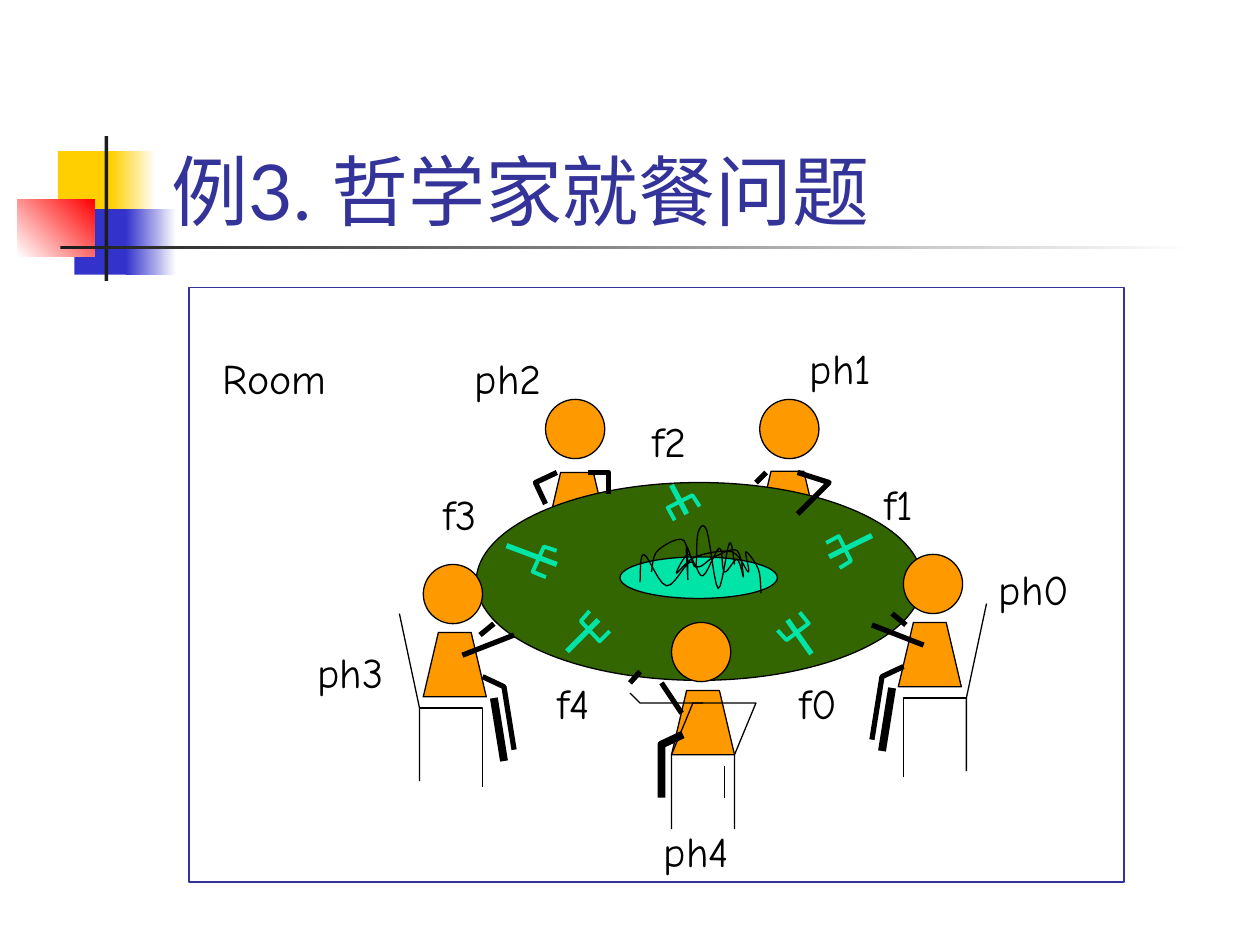
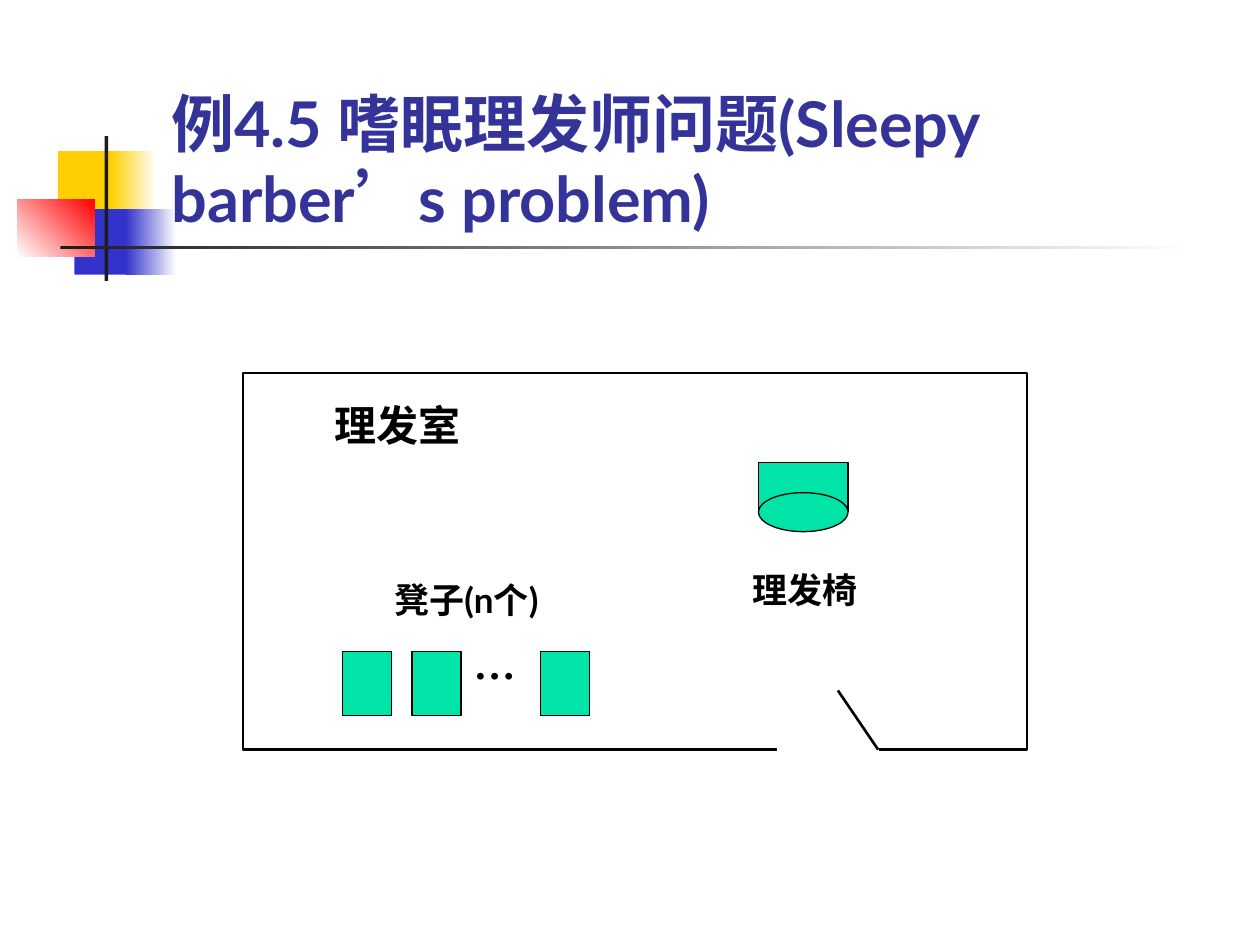
from lxml import etree
from pptx import Presentation
from pptx.dml.color import RGBColor
from pptx.enum.shapes import MSO_CONNECTOR, MSO_SHAPE
from pptx.enum.text import MSO_ANCHOR, MSO_AUTO_SIZE, PP_ALIGN
from pptx.oxml.ns import qn
from pptx.util import Inches, Pt

RECT, OVAL = MSO_SHAPE.RECTANGLE, MSO_SHAPE.OVAL
STRAIGHT = MSO_CONNECTOR.STRAIGHT
BLACK, WHITE, NAVY = "000000", "FFFFFF", "333399"
GOLD, BLUE, RED, DARK = "FFCF01", "3333CC", "FF0000", "1C1C1C"
ORANGE, GREEN, MINT = "FF9900", "336600", "00E4A8"
THIN, EDGE, TINE, LIMB, LEG = 0.75, 1.5, 2.25, 3, 4.5

# Shared band: place, fill (a colour, or start, end and angle of a gradient)
BAND = [
    ((0.46, 1.2, 0.48, 0.52), GOLD),
    ((0.88, 1.2, 0.36, 0.52), (GOLD, WHITE, 0)),
    ((0.59, 1.66, 0.46, 0.52), BLUE),
    ((1, 1.66, 0.4, 0.52), (BLUE, WHITE, 0)),
    ((0.14, 1.58, 0.61, 0.46), (WHITE, RED, 45)),
    ((0.83, 1.08, 0.03, 1.15), DARK),
    ((0.48, 1.95, 9, 0.03), (DARK, WHITE, 0)),
]
TITLE_AT = (1.26, 0.67, 8.52, 1.25)

# Slide 1: dining philosophers
DINERS = "例3. 哲学家就餐问题"
ROOM = (1.5, 2.28, 7.42, 4.72)
TABLE = (3.78, 3.83, 3.54, 1.57)
DISH = (4.92, 4.42, 1.25, 0.33)
HEAD = 0.47
BODY = [(0, 0.51), (0.12, 0), (0.38, 0), (0.5, 0.51)]
# Corner of the head, corner of the body
BACK = [((6.03, 3.17), (6, 3.74)), ((4.33, 3.17), (4.33, 3.75))]
FRONT = [((5.33, 4.94), (5.33, 5.48)), ((3.36, 4.48), (3.36, 5.02)),
         ((7.17, 4.4), (7.13, 4.94))]
# Chair and limbs of ph3; ph0 is the same, mirrored and a little higher
SIDE = [
    (THIN, [(3.17, 4.87), (3.33, 5.62), (3.33, 6.2)]),
    (THIN, [(3.33, 5.62), (3.83, 5.62), (3.83, 6.25)]),
    (LEG, [(3.92, 5.54), (4, 6.04)]),
    (LIMB, [(3.83, 5.37), (4, 5.45), (4.08, 5.95)]),
    (LIMB, [(3.67, 5.2), (4.08, 5.04)]),
    (LIMB, [(3.81, 5.04), (3.92, 4.95)]),
]
MIRROR, RISE = 11, 0.08
STROKES = [
    # ph4
    (THIN, [(5, 5.5), (5.08, 5.58), (5.58, 5.58)]),
    (LIMB, [(5.08, 5.33), (5, 5.42)]),
    (THIN, [(5.33, 6.58), (5.33, 5.99), (5.5, 5.58),
            (6, 5.58), (5.83, 5.99), (5.83, 6.58)]),
    (THIN, [(5.75, 6.08), (5.75, 6.33)]),
    (LIMB, [(5.25, 5.42), (5.41, 5.66)]),
    (LEG, [(5.42, 5.83), (5.25, 5.91), (5.25, 6.33)]),
    # ph1
    (LIMB, [(6.33, 3.75), (6.58, 3.83), (6.33, 4.08)]),
    (LIMB, [(6.08, 3.75), (6, 3.83)]),
    # ph2
    (LIMB, [(4.42, 3.75), (4.25, 3.83), (4.33, 4)]),
    (LIMB, [(4.67, 3.75), (4.83, 3.75), (4.83, 3.92)]),
]
# Points that the smooth noodles run through
NOODLES = [
    [(5.17, 4.54), (5.22, 4.37), (5.43, 4.29), (5.46, 4.6), (5.45, 4.34),
     (5.52, 4.5), (5.54, 4.23), (5.61, 4.21), (5.7, 4.67), (5.79, 4.31),
     (5.83, 4.48)],
    [(5.08, 4.62), (5.11, 4.4), (5.29, 4.65), (5.48, 4.46), (5.58, 4.57),
     (5.71, 4.35), (5.75, 4.54), (5.85, 4.44), (5.9, 4.58), (5.85, 4.37),
     (5.67, 4.42), (5.54, 4.5), (5.46, 4.4), (5.37, 4.55), (5.52, 4.42),
     (5.81, 4.38), (5.94, 4.54), (5.92, 4.38), (6.02, 4.52), (6.04, 4.71)],
]
# Forks: handle, centre of the tines, turn of the tines
TINES = [(-0.05, -0.12), (-0.12, -0.04), (0.03, 0.12), (0.11, 0.04)]
FORKS = [
    ([(4.75, 4.92), (4.5, 5.17)], (4.73, 4.97), 0),
    ([(6.25, 4.92), (6.44, 5.19)], (6.3, 4.97), 276),
    ([(6.92, 4.25), (6.58, 4.42)], (6.66, 4.38), 196.8),
    ([(5.33, 3.85), (5.45, 4.08)], (5.43, 4.03), 106.1),
    ([(4.02, 4.33), (4.42, 4.48)], (4.33, 4.46), 67),
]
NAMES = [
    ("Room", 1.67, 2.75),
    ("ph0", 7.83, 4.42), ("ph1", 6.33, 2.67), ("ph2", 3.67, 2.75),
    ("ph3", 2.42, 5.08), ("ph4", 5.17, 6.5),
    ("f0", 6.25, 5.33), ("f1", 6.92, 3.75), ("f2", 5.08, 3.25),
    ("f3", 3.42, 3.83), ("f4", 4.33, 5.33),
]
LETTER = 0.3

# Slide 2: sleepy barber
BARBER = "例4.5 嗜眠理发师问题(Sleepy barber’s problem)"
SHOP = (1.93, 2.96, 6.22, 2.99)
STOOLS, STOOL_TOP, STOOL = (2.72, 3.27, 4.29), 5.17, (0.39, 0.51)
CHAIR = [(RECT, (6.02, 3.67, 0.71, 0.39)), (OVAL, (6.02, 3.91, 0.71, 0.31))]
GAP = (6.18, 5.64, 0.79, 0.63)
DOOR = [(6.97, 5.95), (6.65, 5.48)]
SIGNS = [
    ("…", (3.66, 5.01, 0.55, 0.5), 24, "Times New Roman"),
    ("凳子(n个)", (3.03, 4.54, 1.65, 0.44), 20, "Lato"),
    ("理发椅", (5.87, 4.46, 1.18, 0.44), 20, "Lato"),
    ("理发室", (2.56, 3.12, 1.42, 0.5), 24, "Lato"),
]


def rgb(code):
    return RGBColor.from_string(code)


def inch(nums):
    return [Inches(n) for n in nums]


def paint(shape, fill, line, width):
    """Fill with None, a colour or a gradient; outline if line is given."""
    shape.shadow.inherit = False
    if fill is None:
        shape.fill.background()
    elif isinstance(fill, tuple):
        first, last, angle = fill
        shape.fill.gradient()
        shape.fill.gradient_angle = angle
        for stop, code in zip(shape.fill.gradient_stops, (first, last)):
            stop.color.rgb = rgb(code)
    else:
        shape.fill.solid()
        shape.fill.fore_color.rgb = rgb(fill)
    if line:
        shape.line.color.rgb = rgb(line)
        shape.line.width = Pt(width)
    else:
        shape.line.fill.background()


def block(slide, kind, at, fill, line=BLACK, width=THIN):
    paint(slide.shapes.add_shape(kind, *inch(at)), fill, line, width)


def trace(slide, pts, width, line=BLACK, fill=None):
    """Join points: two make a line, more an outline, closed when filled."""
    if len(pts) == 2:
        part = slide.shapes.add_connector(STRAIGHT, *inch(pts[0] + pts[1]))
        part.line.color.rgb = rgb(line)
        part.line.width = Pt(width)
        etree.SubElement(part.element.spPr, qn("a:effectLst"))
        return part
    pen = slide.shapes.build_freeform(*inch(pts[0]))
    pen.add_line_segments([inch(p) for p in pts[1:]], close=fill is not None)
    part = pen.convert_to_shape()
    paint(part, fill, line, width)
    return part


def shift(pts, x, y):
    return [(x + dx, y + dy) for dx, dy in pts]


def bend(pts, steps=6):
    """Run a smooth curve (Catmull-Rom) through the points in short steps."""
    out = [pts[0]]
    ends = [pts[0], *pts, pts[-1]]
    for quad in zip(ends, ends[1:], ends[2:], ends[3:]):
        for k in range(1, steps + 1):
            t = k / steps
            out.append(tuple(
                b + t / 2 * (c - a + t * (2 * a - 5 * b + 4 * c - d
                                          + t * (3 * (b - c) + d - a)))
                for a, b, c, d in zip(*quad)))
    return out


def style(frame, size, face, color, bold):
    frame.word_wrap = True
    font = frame.paragraphs[0].runs[0].font
    font.size, font.name, font.bold = Pt(size), face, bold
    font.color.rgb = rgb(color)


def label(slide, text, at, size, face, bold=False):
    frame = slide.shapes.add_textbox(*inch(at)).text_frame
    frame.text = text
    style(frame, size, face, BLACK, bold)


def start(deck, text, size, bold):
    """Add a slide with the shared band and the title above it."""
    slide = deck.slides.add_slide(deck.slide_layouts[5])
    for at, fill in BAND:
        block(slide, RECT, at, fill, None)
    title = slide.shapes.title
    title.left, title.top, title.width, title.height = inch(TITLE_AT)
    slide.shapes.element.append(title.element)
    frame = title.text_frame
    frame.text = text
    frame.auto_size = MSO_AUTO_SIZE.NONE
    frame.vertical_anchor = MSO_ANCHOR.BOTTOM
    frame.paragraphs[0].alignment = PP_ALIGN.LEFT
    style(frame, size, "Lato", NAVY, bold)
    return slide


def draw_diners(deck):
    slide = start(deck, DINERS, 44, False)
    block(slide, RECT, ROOM, None, NAVY)
    for _, spot in BACK:
        trace(slide, shift(BODY, *spot), THIN, fill=ORANGE)
    block(slide, OVAL, TABLE, GREEN)
    for _, spot in FRONT:
        trace(slide, shift(BODY, *spot), THIN, fill=ORANGE)
    for spot, _ in BACK + FRONT:
        block(slide, OVAL, (*spot, HEAD, HEAD), ORANGE)
    twin = [(w, [(MIRROR - x, y - RISE) for x, y in pts]) for w, pts in SIDE]
    for width, pts in SIDE + twin + STROKES:
        trace(slide, pts, width)
    block(slide, OVAL, DISH, MINT)
    for pts in NOODLES:
        trace(slide, bend(pts), THIN)
    for shaft, spot, turn in FORKS:
        trace(slide, shaft, LIMB, MINT)
        trace(slide, shift(TINES, *spot), TINE, MINT).rotation = turn
    for text, x, y in NAMES:
        label(slide, text, (x, y, LETTER * len(text), 0.5), 24, "Comic Neue")


def draw_barber(deck):
    slide = start(deck, BARBER, 36, True)
    block(slide, RECT, SHOP, WHITE, width=EDGE)
    for x in STOOLS:
        block(slide, RECT, (x, STOOL_TOP, *STOOL), MINT)
    for kind, at in CHAIR:
        block(slide, kind, at, MINT)
    block(slide, RECT, GAP, WHITE, WHITE, EDGE)
    trace(slide, DOOR, EDGE)
    for text, at, size, face in SIGNS:
        label(slide, text, at, size, face, True)


def main():
    deck = Presentation()
    deck.slide_width, deck.slide_height = inch((10, 7.5))
    draw_diners(deck)
    draw_barber(deck)
    deck.save("out.pptx")


if __name__ == "__main__":
    main()
